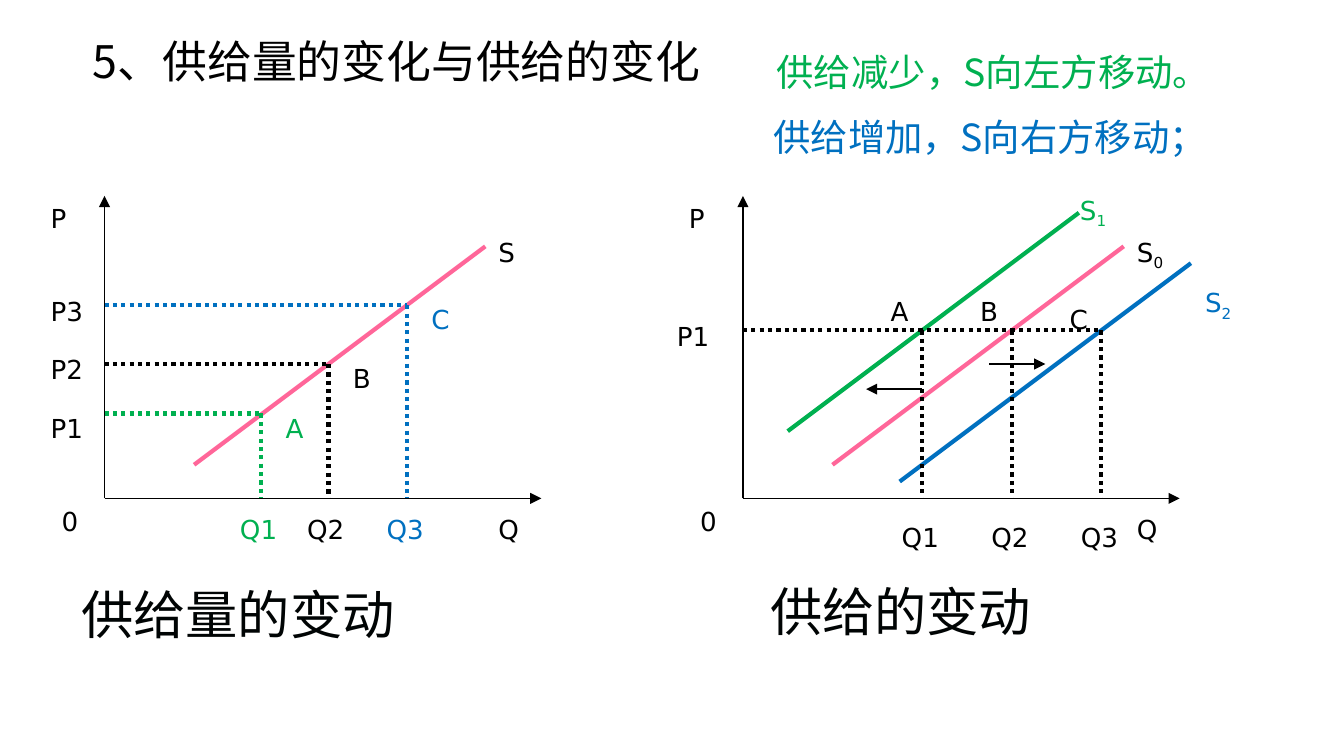
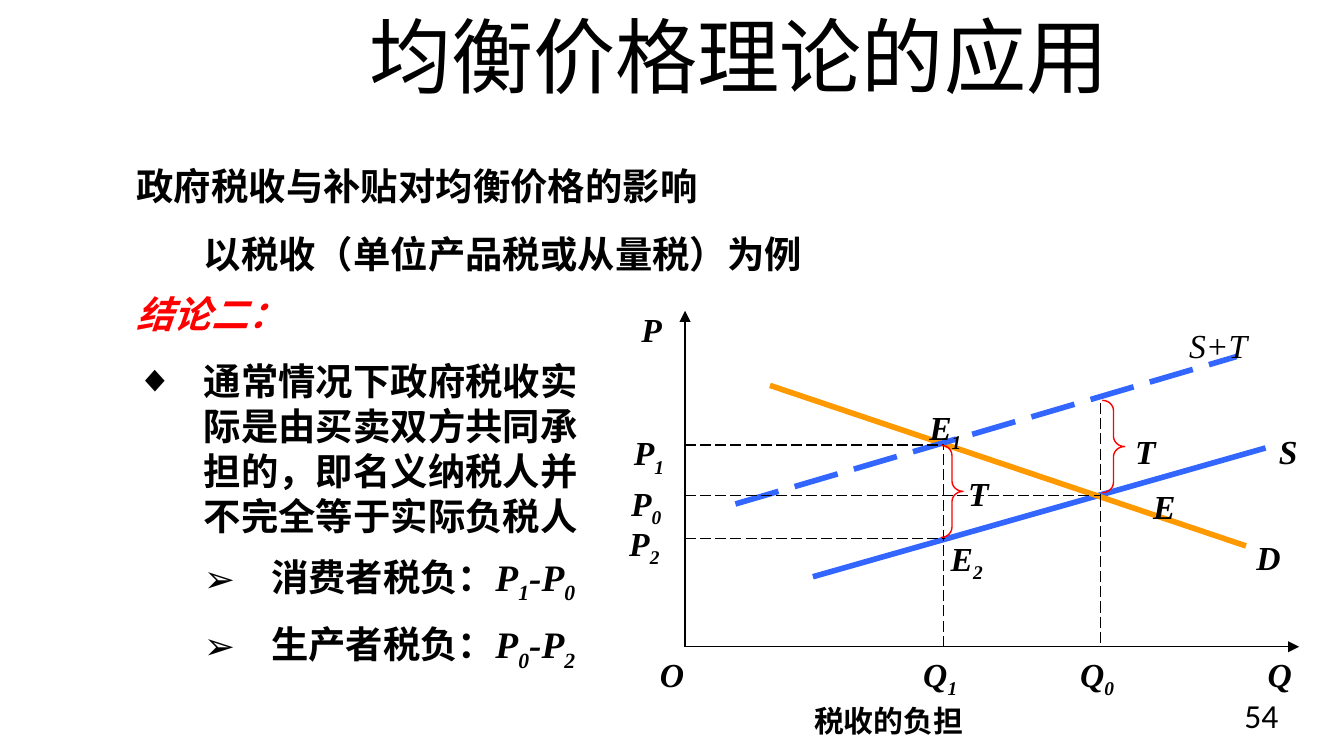
"""Build two slides on shifts in supply and on who bears a tax."""
from lxml.etree import SubElement
from pptx import Presentation
from pptx.dml.color import RGBColor
from pptx.enum.dml import MSO_LINE as Dash
from pptx.enum.shapes import MSO_CONNECTOR as Connector, MSO_SHAPE as Shape
from pptx.enum.text import MSO_ANCHOR as Anchor, MSO_AUTO_SIZE as AutoSize, PP_ALIGN as Align
from pptx.oxml.ns import qn
from pptx.util import Pt

THEME = {
    "black": "000000", "ink": "000404", "green": "00B050", "blue": "0070C0",
    "pink": "FF6699", "red": "FF0000", "supply": "3366FF", "demand": "FF9900",
    "cjk": "Noto Sans CJK SC", "thin": 0.75, "curve": 2.25, "bold": 3,
}
FORMATS = {
    "label": {"name": "DejaVu Sans", "size": Pt(14)},
    "caption": {"name": "DejaVu Sans", "size": Pt(28)},
    "remark": {"name": THEME["cjk"], "size": Pt(20)},
    "heading": {"name": THEME["cjk"], "size": Pt(24)},
    "title": {"name": "Calibri", "size": Pt(44)},
    "lead": {"name": "Calibri", "size": Pt(20), "bold": True},
    "body": {"name": "Times New Roman", "size": Pt(20), "bold": True},
    "term": {"name": "Times New Roman", "size": Pt(20), "bold": True, "italic": True},
    "symbol": {"name": "Times New Roman", "size": Pt(18), "bold": True, "italic": True},
    "light": {"name": "Times New Roman", "size": Pt(18), "italic": True},
    "note": {"name": "Calibri", "size": Pt(16), "bold": True},
    "number": {"name": "Calibri", "size": Pt(18)},
}

HEADING = "5、供给量的变化与供给的变化"
REMARKS = [
    ("供给增加，S向右方移动；", "blue", (377.5, 49.5, 306, 51)),
    ("供给减少，S向左方移动。", "green", (382.5, 15, 299.5, 34.5)),
]
CAPTIONS = [
    ("供给量的变动", (36.5, 306, 281, 41)),
    ("供给的变动", (405.5, 304.5, 266.5, 41)),
]
BASE_Y, CURVE_RUN, CURVE_RISE = 267, 156, 117
ALONG_ORIGIN, SHIFT_ORIGIN = (56, BASE_Y), (398, BASE_Y)
AXIS_LABELS = [("P", -36, -162), ("Q", 204, 4.5), ("0", -30, 0)]
ALONG_POINTS = [
    {"name": "A", "color": "green", "at": (84, -45.5), "label": (90, -49.5),
     "price": ("P1", -49.5), "quantity": ("Q1", 65.5)},
    {"name": "B", "color": "black", "at": (120, -72), "label": (126, -76.5),
     "price": ("P2", -81), "quantity": ("Q2", 101.5)},
    {"name": "C", "color": "blue", "at": (162, -103.5), "label": (168, -108),
     "price": ("P3", -112.5), "quantity": ("Q3", 144)},
]
SHIFT_CURVES = [
    ("S_0", (48, -18), "pink", "black", (204, -144)),
    ("S_1", (24, -36), "green", "green", (173.5, -166.5)),
    ("S_2", (84, -9), "blue", "blue", (240.5, -117)),
]
SHIFT_PRICE = -90
SHIFT_POINTS = [("A", "Q1", 96, -112.5), ("B", "Q2", 144, -112.5), ("C", "Q3", 192, -108)]
SHIFT_ARROWS = [((132, -72), (162, -72)), ((96, -58.5), (66, -58.5))]

TITLE = "均衡价格理论的应用"
INTRO = [
    {"spans": [("政府税收与补贴对均衡价格的影响", "lead", "black")]},
    {"spans": [("以税收（单位产品税或从量税）为例", "body", "black")], "margin": 36},
]
CONCLUSION = [
    {"spans": [("结论二：", "term", "red")]},
    {"spans": [("通常情况下政府税收实际是由买卖双方共同承担的，即名义纳税人并不完全等于实际负税人",
                "body", "black")], "margin": 36, "bullet": "◆"},
    {"spans": [("消费者税负：", "body", "black"), ("P_1-P_0", "term", "black")],
     "margin": 72, "bullet": "➢", "level": 1},
    {"spans": [("生产者税负：", "body", "black"), ("P_0-P_2", "term", "black")],
     "margin": 72, "bullet": "➢", "level": 1},
]
TAX_ORIGIN = (367, 346.5)
TAX_AXES = [(367, 166.5), (696, 346.5)]
TAX_CURVES = [
    ((435.5, 309), (678, 240), "supply", None),
    ((667.5, 292.5), (412.5, 206.5), "demand", None),
    ((394, 270), (662.5, 191), "supply", Dash.LONG_DASH),
]
TAX_GUIDES = [
    ((367, 265.5), (589.5, 265.5)), ((589.5, 265.5), (589.5, 346.5)),
    ((505.5, 346.5), (505.5, 238.5)), ((367, 238.5), (505.5, 238.5)),
    ((367, 288.5), (506, 288.5)), ((589.5, 216), (589.5, 265.5)),
]
TAX_BRACES = [(504, 238.5), (590.5, 214.5)]
TAX_LABELS = [
    ("D", 666, 284, 27), ("S", 678, 227.5, 24.5), ("O", 346.5, 346.5, 27.5),
    ("P", 336.5, 162, 26), ("Q", 672, 346.5, 27.5), ("P_0", 331, 255, 31.5),
    ("P_1", 332.5, 228, 31.5), ("P_2", 330, 276.5, 31.5), ("Q_0", 571.5, 346.5, 34),
    ("Q_1", 487.5, 346.5, 34), ("E", 610.75, 256.5, 30), ("E_1", 490.75, 214.5, 33),
    ("E_2", 502.25, 284.5, 33), ("T", 511.5, 250, 28.5), ("T", 601, 227.5, 28.5),
]


def rgb(color):
    """Look up a theme colour."""
    return RGBColor.from_string(THEME[color])


def add_spans(para, text, style, color):
    """Add text to a paragraph; a character after _ is a subscript."""
    first, *rest = text.split("_")
    pieces = [(first, False)]
    for part in rest:
        pieces += [(part[0], True), (part[1:], False)]
    for piece, lowered in pieces:
        if not piece:
            continue
        span = para.add_run()
        span.text = piece
        for name, value in FORMATS[style].items():
            setattr(span.font, name, value)
        span.font.color.rgb = rgb(color)
        props = span.font._element
        east = SubElement(props, qn("a:ea"), typeface=THEME["cjk"])
        props.find(qn("a:latin")).addnext(east)
        if lowered:
            props.set("baseline", "-25000")


def place(box, bounds):
    """Move and size a shape in points."""
    for name, value in zip(("left", "top", "width", "height"), bounds):
        setattr(box, name, Pt(value))


def prepare(box, bounds, anchor=Anchor.TOP, wrap=True):
    """Place a text shape and return its first paragraph."""
    place(box, bounds)
    settings = {"word_wrap": wrap, "auto_size": AutoSize.NONE, "vertical_anchor": anchor}
    for name, value in settings.items():
        setattr(box.text_frame, name, value)
    return box.text_frame.paragraphs[0]


def add_text(page, text, style, color, bounds, align=Align.LEFT, leading=None, wrap=True):
    """Add a one-paragraph text box."""
    para = prepare(page.shapes.add_textbox(0, 0, 0, 0), bounds, wrap=wrap)
    para.alignment = align
    if leading:
        para.line_spacing = Pt(leading)
    add_spans(para, text, style, color)


def set_title(page, text, style, bounds, align, anchor, leading=None):
    """Fill the title placeholder."""
    para = prepare(page.shapes.title, bounds, anchor)
    para.alignment = align
    if leading:
        para.line_spacing = Pt(leading)
    add_spans(para, text, style, "black")


def fill_list(box, items, bounds, leading, gap):
    """Fill a body placeholder with plain and bulleted paragraphs."""
    para = prepare(box, bounds)
    for index, item in enumerate(items):
        if index:
            para = box.text_frame.add_paragraph()
        para.level = item.get("level", 0)
        para.line_spacing = Pt(leading)
        para.space_before = Pt(gap if index else 0)
        bullet = item.get("bullet")
        props = para._p.get_or_add_pPr()
        props.set("marL", str(Pt(item.get("margin", 0))))
        props.set("indent", str(Pt(-36 if bullet else 0)))
        if bullet:
            SubElement(props, qn("a:buChar"), char=bullet)
        else:
            SubElement(props, qn("a:buNone"))
        for text, style, color in item["spans"]:
            add_spans(para, text, style, color)


def add_line(page, start, end, color="black", width="thin", dash=None, arrow=False):
    """Draw a straight line, with an arrowhead at its end if asked."""
    line = page.shapes.add_connector(Connector.STRAIGHT, *map(Pt, start + end))
    line.line.color.rgb = rgb(color)
    line.line.width = Pt(THEME[width])
    if dash:
        line.line.dash_style = dash
    props = line._element.spPr
    if arrow:
        SubElement(props.find(qn("a:ln")), qn("a:tailEnd"), type="triangle")
    SubElement(props, qn("a:effectLst"))


def shifted(origin, x, y):
    """Offset a point from an origin."""
    return origin[0] + x, origin[1] + y


def add_label(page, origin, text, x, y, color="black"):
    """Label a supply graph at an offset from its origin."""
    add_text(page, text, "label", color, shifted(origin, x, y) + (36, 24.5))


def draw_frame(page, origin):
    """Draw the axes and axis labels of a supply graph."""
    for end in ((234, 0), (0, -162)):
        add_line(page, origin, shifted(origin, *end), arrow=True)
    for label in AXIS_LABELS:
        add_label(page, origin, *label)


def draw_curve(page, origin, text, start, color, label_color, label):
    """Draw and label one supply curve."""
    end = (start[0] + CURVE_RUN, start[1] - CURVE_RISE)
    add_line(page, shifted(origin, *start), shifted(origin, *end), color, "curve")
    add_label(page, origin, text, *label, label_color)


def draw_guide(page, origin, start, end, color="black"):
    """Draw a dotted guide in a supply graph."""
    add_line(page, shifted(origin, *start), shifted(origin, *end), color, "curve", Dash.ROUND_DOT)


def build_supply(deck):
    """Build the slide that compares movement along and shift of supply."""
    page = deck.slides.add_slide(deck.slide_layouts[5])
    set_title(page, HEADING, "heading", (42.5, 15, 342, 36), Align.LEFT, Anchor.TOP, 28.5)
    for text, color, bounds in REMARKS:
        add_text(page, text, "remark", color, bounds, Align.CENTER, 32)
    for text, bounds in CAPTIONS:
        add_text(page, text, "caption", "ink", bounds, leading=36)

    origin = ALONG_ORIGIN
    draw_frame(page, origin)
    draw_curve(page, origin, "S", (48, -18), "pink", "black", (204, -144))
    for point in ALONG_POINTS:
        (x, y), color = point["at"], point["color"]
        price, price_y = point["price"]
        quantity, quantity_x = point["quantity"]
        draw_guide(page, origin, (0, y), (x, y), color)
        draw_guide(page, origin, (x, y), (x, 0), color)
        add_label(page, origin, price, -36, price_y)
        add_label(page, origin, quantity, quantity_x, 4.5, color)
        add_label(page, origin, point["name"], *point["label"], color)

    origin = SHIFT_ORIGIN
    draw_frame(page, origin)
    for curve in SHIFT_CURVES:
        draw_curve(page, origin, *curve)
    draw_guide(page, origin, (0, SHIFT_PRICE), (SHIFT_POINTS[-1][2], SHIFT_PRICE))
    add_label(page, origin, "P1", -42.5, -99)
    for name, quantity, x, label_y in SHIFT_POINTS:
        draw_guide(page, origin, (x, SHIFT_PRICE), (x, 0))
        add_label(page, origin, name, x - 24, label_y)
        add_label(page, origin, quantity, x - 18, 9)
    for start, end in SHIFT_ARROWS:
        add_line(page, shifted(origin, *start), shifted(origin, *end), arrow=True)


def build_tax(deck):
    """Build the slide on the burden of a tax."""
    page = deck.slides.add_slide(deck.slide_layouts[3])
    set_title(page, TITLE, "title", (72, 0, 648, 58.5), Align.CENTER, Anchor.MIDDLE)
    intro, conclusion = list(page.placeholders)[1:]
    fill_list(intro, INTRO, (66, 72, 642, 76.5), 36, 0)
    fill_list(conclusion, CONCLUSION, (66, 152.5, 258, 216), 24, 12)
    for start, end, color, dash in TAX_CURVES:
        add_line(page, start, end, color, "bold", dash)
    for end in TAX_AXES:
        add_line(page, TAX_ORIGIN, end, arrow=True)
    for start, end in TAX_GUIDES:
        add_line(page, start, end, dash=Dash.LONG_DASH)
    for corner in TAX_BRACES:
        brace = page.shapes.add_shape(Shape.RIGHT_BRACE, 0, 0, 0, 0)
        place(brace, corner + (12, 49.5))
        brace.adjustments[0] = 0.46
        brace.shadow.inherit = False
        brace.fill.background()
        brace.line.color.rgb = rgb("red")
        brace.line.width = Pt(THEME["thin"])
    for text, left, top, width in TAX_LABELS:
        add_text(page, text, "symbol", "black", (left, top, width, 29), wrap=False)
    add_text(page, "S+T", "light", "black", (630, 170.5, 48, 29), wrap=False)
    add_text(page, "税收的负担", "note", "black", (394, 372, 164, 26.5), Align.CENTER, 20)
    add_text(page, "54", "number", "black", (516, 368.5, 176, 28), Align.RIGHT)


def main():
    """Build and save the deck."""
    deck = Presentation()
    deck.slide_width, deck.slide_height = Pt(720), Pt(405)
    build_supply(deck)
    build_tax(deck)
    deck.save("out.pptx")


if __name__ == "__main__":
    main()
